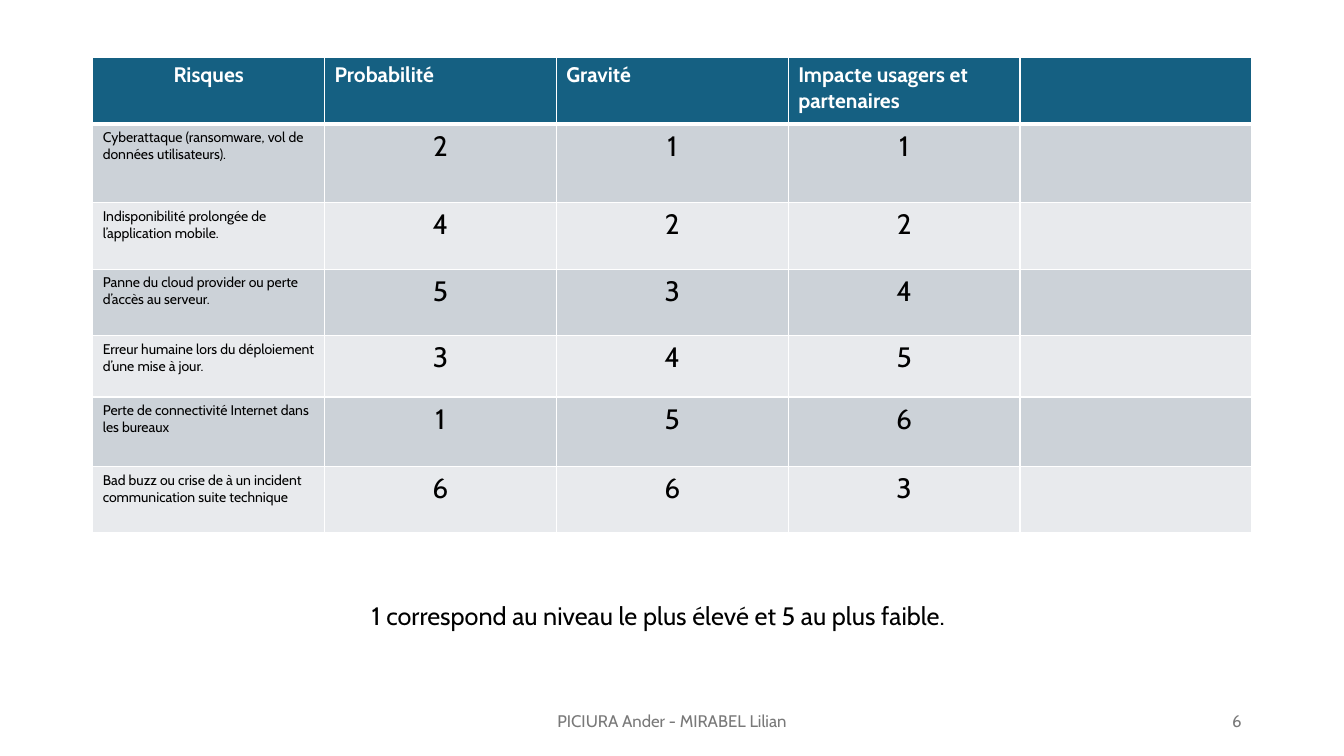
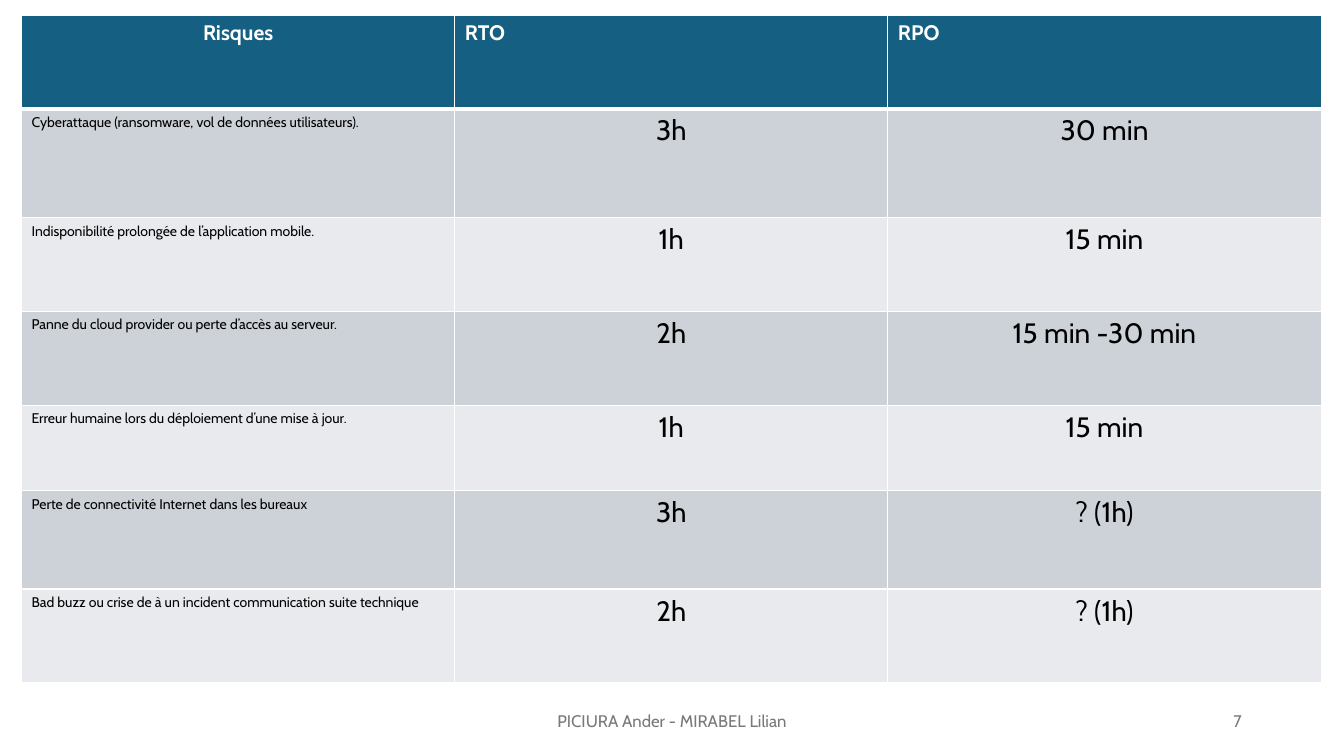
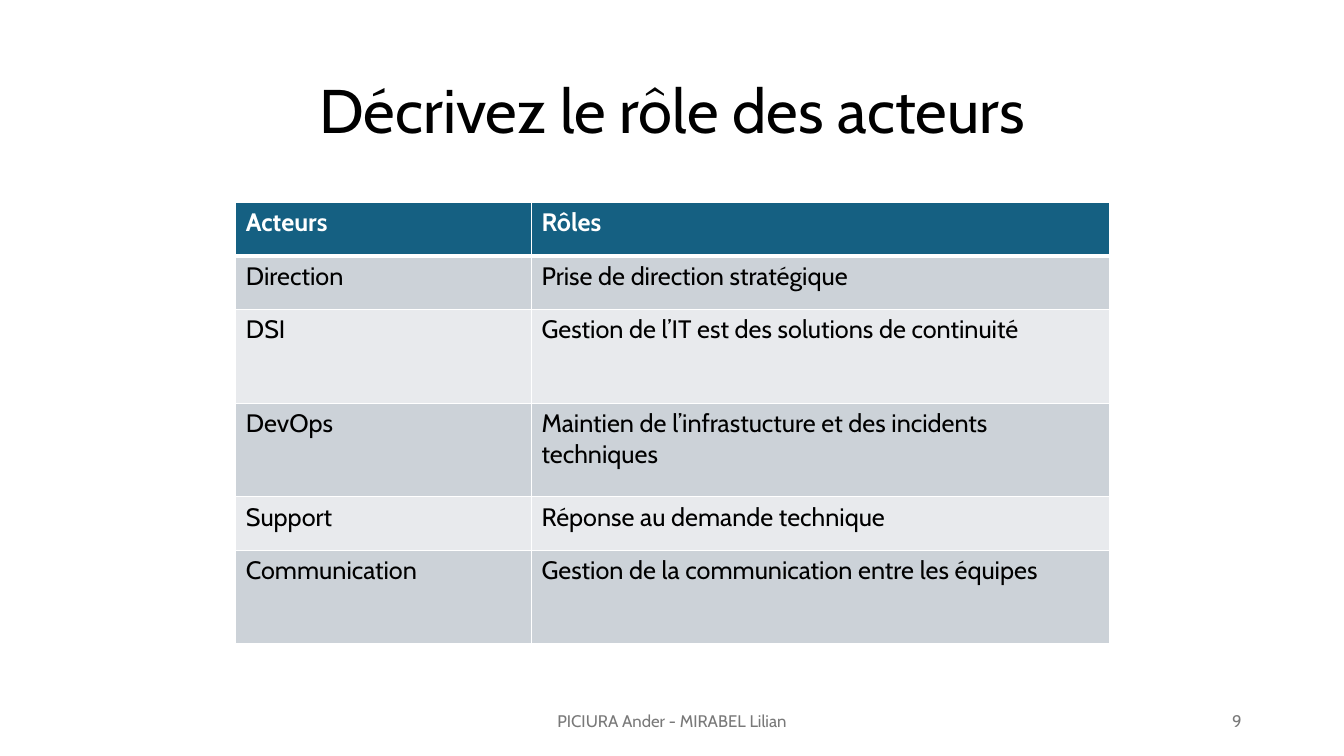
import pptx
import pptx.dml.color
import pptx.enum.text
import pptx.util
from lxml import etree
from pptx.oxml.ns import qn

ALIGN = pptx.enum.text.PP_ALIGN
ANCHOR = pptx.enum.text.MSO_ANCHOR

RISKS = [
    "Cyberattaque (ransomware, vol de données utilisateurs).",
    "Indisponibilité prolongée de l’application mobile.",
    "Panne du cloud provider ou perte d’accès au serveur.",
    "Erreur humaine lors du déploiement d’une mise à jour.",
    "Perte de connectivité Internet dans les bureaux",
    "Bad buzz ou crise de à un incident communication suite technique",
]


def color(value):
    return pptx.dml.color.RGBColor.from_string(value)


class Slides:
    """Style and current slide; lengths are hundredths of the slide's width and height."""

    FONT = "Cabin"
    WHITE, BLACK, GREY = "FFFFFF", "000000", "797979"
    HEADER, BANDS = "156082", ("CCD2D8", "E8EAED")
    FOOTER = "PICIURA Ander - MIRABEL Lilian"

    HEAD = {"size": 18, "ink": WHITE, "bold": True}
    BODY = {"size": 18, "ink": BLACK, "bold": False}
    RISK_HEAD = {**HEAD, "size": 15}
    RISK_NAME = {**BODY, "size": 10}
    RISK_VALUE = {**BODY, "size": 20, "align": ALIGN.CENTER}
    SMALL = {"size": 12, "ink": GREY}
    TITLE = {"size": 44, "ink": BLACK, "align": ALIGN.CENTER, "line_spacing": 0.9}

    def __init__(self):
        self.deck = pptx.Presentation()
        self.deck.slide_width = pptx.util.Inches(13.33)
        self.deck.slide_height = pptx.util.Inches(7.5)

    def x(self, share):
        return round(self.deck.slide_width * share / 100)

    def y(self, share):
        return round(self.deck.slide_height * share / 100)

    def new_slide(self, number):
        self.slide = self.deck.slides.add_slide(self.deck.slide_layouts[6])
        self.text(self.FOOTER, 33.13, 92.67, 33.75, 5.33,
                  {**self.SMALL, "align": ALIGN.CENTER}, ANCHOR.MIDDLE)
        self.text(str(number), 70.63, 92.67, 22.5, 5.33,
                  {**self.SMALL, "align": ALIGN.RIGHT}, ANCHOR.MIDDLE)

    def add_words(self, para, words, style):
        span = para.add_run()
        span.text = words
        span.font.color.rgb = color(style["ink"])
        para.alignment = style.get("align", ALIGN.LEFT)
        para.line_spacing = style.get("line_spacing")
        formats = {"name": self.FONT, "size": pptx.util.Pt(style["size"]),
                   "bold": style.get("bold", False)}
        for name, value in formats.items():
            setattr(span.font, name, value)

    def text(self, words, left, top, width, height, style, anchor=ANCHOR.TOP):
        box = self.slide.shapes.add_textbox(
            self.x(left), self.y(top), self.x(width), self.y(height))
        box.text_frame.word_wrap = True
        box.text_frame.vertical_anchor = anchor
        self.add_words(box.text_frame.paragraphs[0], words, style)

    def title(self, words):
        self.text(words, 6.9, 5.33, 86.25, 19.33, self.TITLE, ANCHOR.MIDDLE)

    def borders(self, cell, top, bottom):
        """Draw white cell edges; top and bottom are widths in points."""
        props = cell._tc.get_or_add_tcPr()
        for side, points in (("L", 1), ("R", 1), ("T", top), ("B", bottom)):
            line = etree.SubElement(props, qn(f"a:ln{side}"), w=str(pptx.util.Pt(points)))
            fill = etree.SubElement(line, qn("a:solidFill"))
            etree.SubElement(fill, qn("a:srgbClr"), val=self.WHITE)

    def table(self, left, top, columns, heights, rows, style_at):
        """Add a banded table; style_at(row, column) gives the text style of a cell."""
        grid = self.slide.shapes.add_table(
            len(heights), len(columns), self.x(left), self.y(top),
            self.x(sum(columns)), self.y(sum(heights))).table
        for column, width in zip(grid.columns, columns):
            column.width = self.x(width)
        for r, (height, words) in enumerate(zip(heights, rows)):
            grid.rows[r].height = self.y(height)
            for c, word in enumerate(words):
                cell = grid.cell(r, c)
                self.borders(cell, 3 if r == 1 else 1, 3 if r == 0 else 1)
                cell.fill.solid()
                cell.fill.fore_color.rgb = color(
                    self.BANDS[(r - 1) % 2] if r else self.HEADER)
                if word:
                    self.add_words(cell.text_frame.paragraphs[0], word, style_at(r, c))

    def risk_style(self, row, column):
        if row:
            return self.RISK_VALUE if column else self.RISK_NAME
        return {**self.RISK_HEAD, "align": ALIGN.LEFT if column else ALIGN.CENTER}

    def risk_table(self, left, top, width, heights, headings, values):
        rows = [["Risques", *headings]]
        rows += [[risk, *row] for risk, row in zip(RISKS, values)]
        count = len(rows[0])
        self.table(left, top, [width / count] * count, heights, rows, self.risk_style)

    def role_table(self, rows):
        self.table(17.55, 26.8, [22, 43], [7.07, 7.07, 12.4, 12.4, 7.07, 12.4], rows,
                   lambda row, column: self.BODY if row else self.HEAD)


def main():
    slides = Slides()

    slides.new_slide(6)
    slides.risk_table(
        6.9, 7.6, 86.25, [8.8, 10.4, 8.8, 8.8, 8.13, 9.2, 8.8],
        ["Probabilité", "Gravité", "Impacte usagers et partenaires", ""],
        [["2", "1", "1", ""], ["4", "2", "2", ""], ["5", "3", "4", ""],
         ["3", "4", "5", ""], ["1", "5", "6", ""], ["6", "6", "3", ""]])
    slides.text("1 correspond au niveau le plus élevé et 5 au plus faible.",
                26.92, 78.8, 46.15, 5.33, slides.BODY)

    slides.new_slide(7)
    slides.risk_table(
        1.6, 2, 96.7, [12.4, 14.4, 12.4, 12.4, 11.33, 13, 12.4], ["RTO", "RPO"],
        [["3h", "30 min"], ["1h", "15 min"], ["2h", "15 min -30 min"],
         ["1h", "15 min"], ["3h", "? (1h)"], ["2h", "? (1h)"]])

    slides.new_slide(9)
    slides.title("Décrivez le rôle des acteurs")
    slides.role_table([
        ["Acteurs", "Rôles"],
        ["Direction", "Prise de direction stratégique"],
        ["DSI", "Gestion de l’IT est des solutions de continuité"],
        ["DevOps", "Maintien de l’infrastucture et des incidents techniques"],
        ["Support", "Réponse au demande technique"],
        ["Communication", "Gestion de la communication entre les équipes"],
    ])

    slides.deck.save("out.pptx")


if __name__ == "__main__":
    main()
